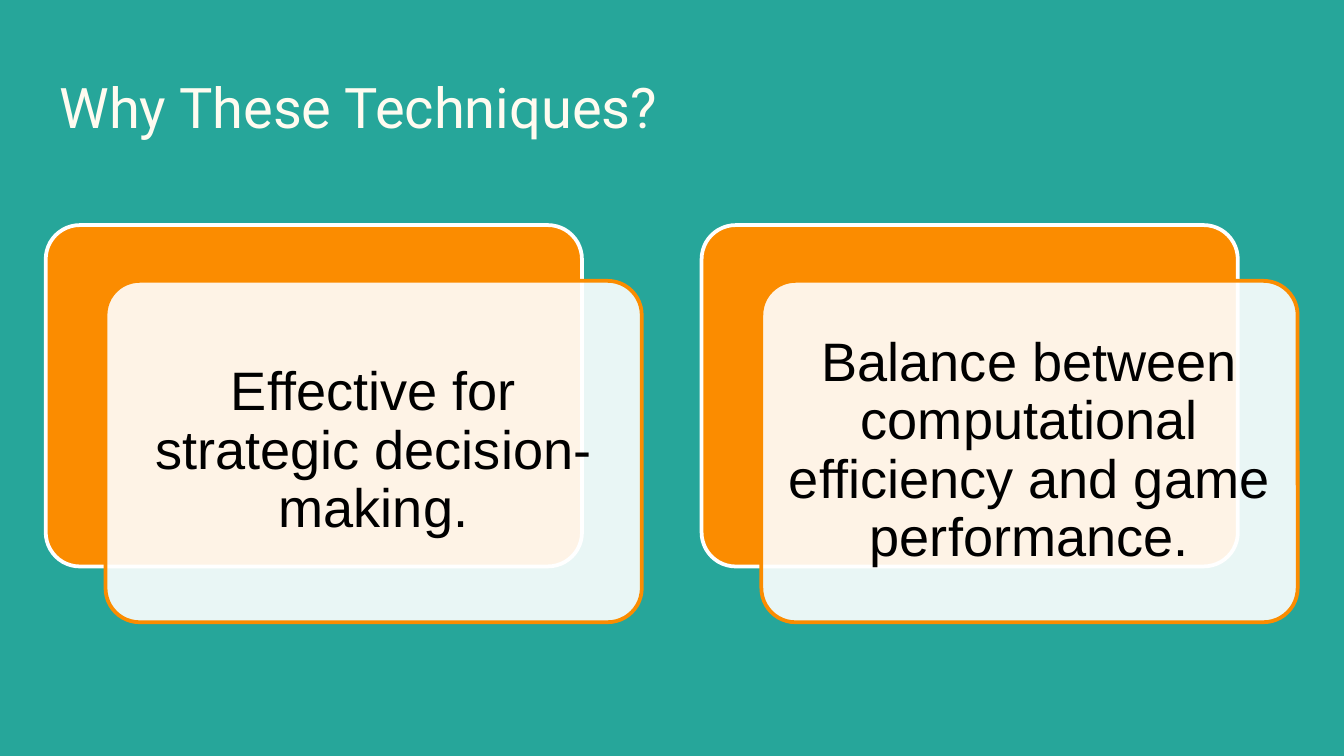
from dataclasses import dataclass

from lxml import etree
from pptx import Presentation
from pptx.dml.color import RGBColor
from pptx.enum.shapes import MSO_SHAPE
from pptx.enum.text import MSO_ANCHOR, PP_ALIGN
from pptx.oxml.ns import qn
from pptx.util import Pt

PX = 4572
ROUND = MSO_SHAPE.ROUNDED_RECTANGLE
MIDDLE = MSO_ANCHOR.MIDDLE
LEFT, CENTER = PP_ALIGN.LEFT, PP_ALIGN.CENTER


@dataclass(frozen=True)
class Theme:
    """Colours, fonts and sizes of the slide."""
    background: str = "26A69A"
    title_color: str = "FFFBF0"
    accent: str = "FB8C00"
    white: str = "FFFFFF"
    ink: str = "000000"
    title_font: str = "Roboto"
    body_font: str = "Arial"
    title_size: int = 30
    body_size: int = 29
    line_width: int = 2


def write_text(tf, text, *, font, size, color, align=LEFT, inset=20):
    """Fill a text frame with one formatted paragraph."""
    tf.word_wrap = True
    tf.vertical_anchor = MIDDLE
    tf.margin_left = tf.margin_right = inset * PX
    tf.margin_top = tf.margin_bottom = inset * PX
    p = tf.paragraphs[0]
    p.alignment = align
    p.line_spacing = 0.9
    r = p.add_run()
    r.text = text
    r.font.name = font
    r.font.size = Pt(size)
    r.font.color.rgb = RGBColor.from_string(color)


class Deck:
    """Hold the theme and the current slide."""

    def __init__(self, prs, theme):
        """Add a blank slide with the theme background."""
        self.theme = theme
        self.s = prs.slides.add_slide(prs.slide_layouts[6])
        fill = self.s.background.fill
        fill.solid()
        fill.fore_color.rgb = RGBColor.from_string(theme.background)

    def text(self, x, y, w, h, text, **fmt):
        """Add a text box."""
        sp = self.s.shapes.add_textbox(x * PX, y * PX, w * PX, h * PX)
        write_text(sp.text_frame, text, **fmt)

    def panel(self, x, y, w, h, fill, line, opacity=100):
        """Add a rounded panel."""
        sp = self.s.shapes.add_shape(ROUND, x * PX, y * PX, w * PX, h * PX)
        sp.adjustments[0] = 0.1
        sp.shadow.inherit = False
        sp.fill.solid()
        sp.fill.fore_color.rgb = RGBColor.from_string(fill)
        sp.line.color.rgb = RGBColor.from_string(line)
        sp.line.width = Pt(self.theme.line_width)
        if opacity < 100:
            color = sp.element.spPr.find(qn("a:solidFill"))[0]
            etree.SubElement(color, qn("a:alpha"), val=str(opacity * 1000))

    def card(self, x, y, text):
        """Add a solid panel with an offset translucent panel and its text."""
        t = self.theme
        w, h, dx, dy, pad = 798, 508, 89, 83, 15
        self.panel(x, y, w, h, t.accent, t.white)
        self.panel(x + dx, y + dy, w, h, t.white, t.accent, opacity=90)
        self.text(x + dx + pad, y + dy + pad, w - 2 * pad, h - 2 * pad, text,
                  font=t.body_font, size=t.body_size, color=t.ink,
                  align=CENTER, inset=23)


def main():
    """Build and save the slide."""
    prs = Presentation()
    prs.slide_width, prs.slide_height = 2000 * PX, 1125 * PX
    theme = Theme()
    deck = Deck(prs, theme)
    deck.text(69, 98, 1864, 134, "Why These Techniques?",
              font=theme.title_font, size=theme.title_size,
              color=theme.title_color)
    reasons = (
        "Effective for strategic decision-making.",
        "Balance between computational efficiency and game performance.",
    )
    for i, reason in enumerate(reasons):
        deck.card(68 + i * 976, 335, reason)
    prs.save("out.pptx")


if __name__ == "__main__":
    main()
